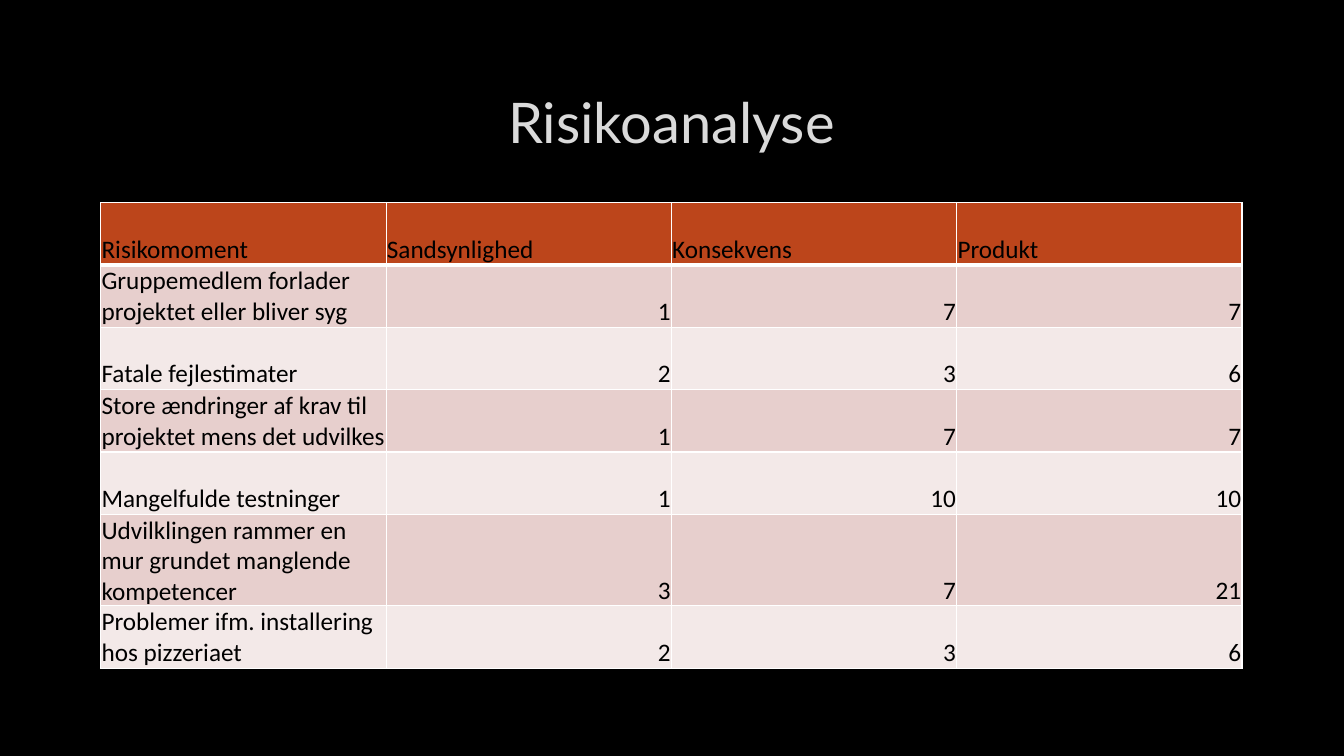
from lxml.etree import SubElement
from pptx import Presentation
from pptx.dml.color import RGBColor
from pptx.enum.text import MSO_ANCHOR, PP_ALIGN
from pptx.oxml.ns import qn
from pptx.util import Cm, Pt

COLORS = {
    "background": "000000",
    "title": "DADADA",
    "title_outline": "404040",
    "text": "000000",
    "header": "BC451B",
    "odd_row": "E7CFCD",
    "even_row": "F3E9E8",
    "border": "FFFFFF",
}
HEADINGS = ["Risikomoment", "Sandsynlighed", "Konsekvens", "Produkt"]
RISKS = [
    ("Gruppemedlem forlader projektet eller bliver syg", 1, 7),
    ("Fatale fejlestimater", 2, 3),
    ("Store ændringer af krav til projektet mens det udvilkes", 1, 7),
    ("Mangelfulde testninger", 1, 10),
    ("Udvilklingen rammer en mur grundet manglende kompetencer", 3, 7),
    ("Problemer ifm. installering hos pizzeriaet", 2, 3),
]
LEFT, WIDTH = Cm(2.54), Cm(28.76)
COLUMN_WIDTH, ROW_HEIGHT = Cm(7.19), Cm(1.57)


def color(name):
    return RGBColor.from_string(COLORS[name])


def add_line(parent, tag, points, color_name):
    """Append a solid line element and return its colour element."""
    line = SubElement(parent, qn(tag), w=str(Pt(points)))
    fill = SubElement(line, qn("a:solidFill"))
    return SubElement(fill, qn("a:srgbClr"), val=COLORS[color_name])


def format_span(span, font, size, color_name):
    span.font.name = font
    span.font.size = Pt(size)
    span.font.color.rgb = color(color_name)


def add_title(page, text):
    box = page.shapes.add_textbox(LEFT, Cm(1.7), WIDTH, Cm(2.69))
    frame = box.text_frame
    frame.word_wrap = True
    frame.vertical_anchor = MSO_ANCHOR.MIDDLE
    frame.text = text
    para = frame.paragraphs[0]
    para.alignment = PP_ALIGN.CENTER
    span = para.runs[0]
    properties = span.font._element
    outline = add_line(properties, "a:ln", 0.75, "title_outline")
    SubElement(outline, qn("a:alpha"), val="10000")
    format_span(span, "Lato", 40, "title")


def fill_cell(cell, value, fill_name, top, bottom):
    """Write one cell; top and bottom are border widths in points."""
    cell.margin_left = cell.margin_right = cell.margin_top = Cm(0.02)
    cell.margin_bottom = 0
    cell.vertical_anchor = MSO_ANCHOR.BOTTOM
    properties = cell._tc.get_or_add_tcPr()
    for side, points in (("L", 1), ("R", 1), ("T", top), ("B", bottom)):
        add_line(properties, f"a:ln{side}", points, "border")
    cell.fill.solid()
    cell.fill.fore_color.rgb = color(fill_name)
    cell.text_frame.text = str(value)
    para = cell.text_frame.paragraphs[0]
    para.alignment = PP_ALIGN.RIGHT if isinstance(value, int) else PP_ALIGN.LEFT
    format_span(para.runs[0], "Calibri", 18, "text")


def add_risk_table(page):
    rows = [HEADINGS] + [
        (risk, chance, impact, chance * impact) for risk, chance, impact in RISKS
    ]
    table = page.shapes.add_table(
        len(rows), len(HEADINGS), LEFT, Cm(5.11), WIDTH, ROW_HEIGHT * len(rows)
    ).table
    table.first_row = table.horz_banding = False
    for column in table.columns:
        column.width = COLUMN_WIDTH
    for index, values in enumerate(rows):
        table.rows[index].height = ROW_HEIGHT
        if index == 0:
            fill_name = "header"
        else:
            fill_name = "odd_row" if index % 2 else "even_row"
        top = 3 if index == 1 else 1
        bottom = 3 if index == 0 else 1
        for cell, value in zip(table.rows[index].cells, values):
            fill_cell(cell, value, fill_name, top, bottom)


def main():
    deck = Presentation()
    deck.slide_width, deck.slide_height = Cm(33.87), Cm(19.05)
    page = deck.slides.add_slide(deck.slide_layouts[6])
    page.background.fill.solid()
    page.background.fill.fore_color.rgb = color("background")
    add_title(page, "Risikoanalyse")
    add_risk_table(page)
    deck.save("out.pptx")


if __name__ == "__main__":
    main()
